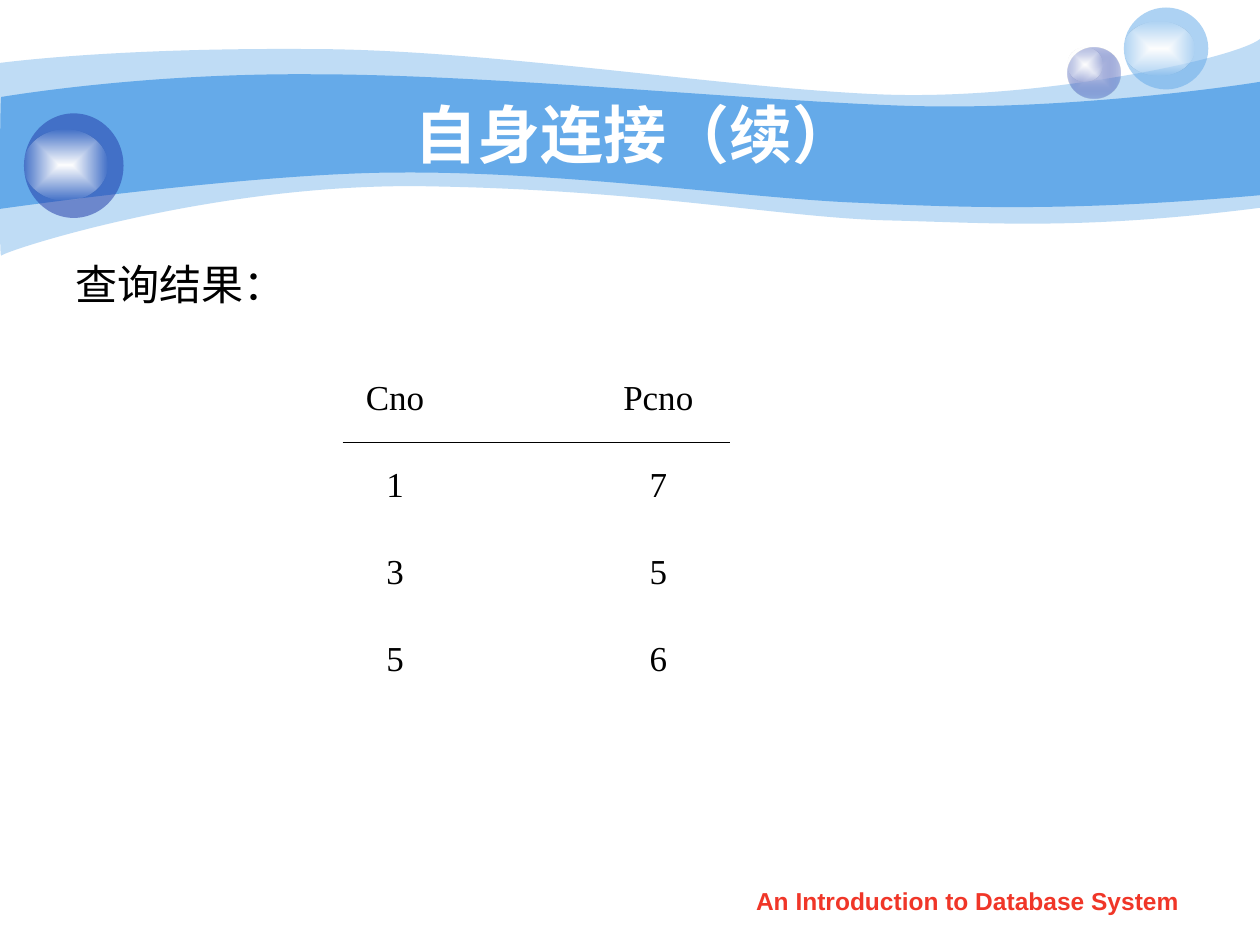
from lxml.etree import SubElement
from pptx import Presentation
from pptx.dml.color import RGBColor
from pptx.enum.shapes import MSO_CONNECTOR, MSO_SHAPE
from pptx.enum.text import MSO_ANCHOR, MSO_AUTO_SIZE, PP_ALIGN
from pptx.oxml import parse_xml
from pptx.oxml.ns import nsdecls, qn
from pptx.util import Pt

PX = 9144  # 100 px to the inch
SKY = RGBColor(0x65, 0xAA, 0xE9)
NAVY = RGBColor(0x23, 0x3D, 0xA9)
PALE = RGBColor(0xC7, 0xCE, 0xE9)
RED = RGBColor(0xF0, 0x36, 0x28)
WHITE = RGBColor(0xFF, 0xFF, 0xFF)
BLACK = RGBColor(0, 0, 0)

# Each wave is a start point, then cubic curves; a lone point is a straight line.
OUTER = (0, 50), [
    (24, 47, 108, 38, 247, 39), (386, 39, 575, 70, 699, 75),
    (822, 80, 980, 47, 1000, 31), (1000, 165),
    (858, 183, 788, 177, 705, 175), (622, 173, 515, 151, 343, 148),
    (172, 144, 4, 199, 1, 203), (-1, 208, 0, 75, 0, 50)]
INNER = (1, 77), [
    (2, 77, 110, 58, 248, 59), (387, 59, 596, 80, 718, 84),
    (841, 88, 976, 69, 1000, 65), (1000, 155),
    (853, 168, 765, 165, 682, 161), (599, 158, 447, 136, 317, 137),
    (203, 137, -2, 166, -1, 166), (0, 166, 0, 77, 1, 77)]

ROWS = [("Cno", "Pcno"), ("1", "7"), ("3", "5"), ("5", "6")]


def emu(*box):
    return [n * PX for n in box]


def style(para, size, color, font="Arial", bold=False, align=PP_ALIGN.CENTER):
    para.alignment = align
    para.font.name = font
    para.font.size = Pt(size)
    para.font.bold = bold
    para.font.color.rgb = color


def paint(shape, color, alpha=100):
    shape.shadow.inherit = False
    shape.line.fill.background()
    shape.fill.solid()
    shape.fill.fore_color.rgb = color
    if alpha < 100:
        tone = shape.fill._xPr.find(".//" + qn("a:srgbClr"))
        SubElement(tone, qn("a:alpha"), val=str(alpha * 1000))


def glow(shape, inner, outer, alpha):
    """Fill from a solid centre to a see-through edge."""
    paint(shape, inner)
    old = shape._element.spPr.find(qn("a:solidFill"))
    new = parse_xml(
        f'<a:gradFill {nsdecls("a")} rotWithShape="1"><a:gsLst>'
        f'<a:gs pos="0"><a:srgbClr val="{inner}"/></a:gs>'
        f'<a:gs pos="100000"><a:srgbClr val="{outer}">'
        f'<a:alpha val="{alpha * 1000}"/></a:srgbClr></a:gs></a:gsLst>'
        '<a:path path="rect"><a:fillToRect l="50000" t="50000" r="50000" b="50000"/>'
        '</a:path></a:gradFill>')
    old.getparent().replace(old, new)


def wave(slide, start, curves, alpha=100):
    """Outline the wave by its control points, then bend each three into a curve."""
    pen = slide.shapes.build_freeform(*emu(*start))
    for curve in curves:
        dots = [emu(*curve[i:i + 2]) for i in range(0, len(curve), 2)]
        pen.add_line_segments(dots, close=False)
    pen.add_line_segments([], close=True)
    shape = pen.convert_to_shape()
    paint(shape, SKY, alpha)
    lines = iter(shape._element.findall(".//" + qn("a:lnTo")))
    for curve in curves:
        first = next(lines)
        if len(curve) == 6:
            first.tag = qn("a:cubicBezTo")
            for line in (next(lines), next(lines)):
                first.append(line[0])
                line.getparent().remove(line)


def orb(slide, box, shine, color, alpha, core=None):
    """Draw a ball in box; shine is the highlight's drop, width and height."""
    left, top = box[:2]
    drop, wide, high = shine
    group = slide.shapes.add_group_shape()
    ball = group.shapes.add_shape(MSO_SHAPE.OVAL, *emu(*box))
    if core is None:
        paint(ball, color, alpha)
    else:
        glow(ball, core, color, alpha)
    spot = group.shapes.add_shape(MSO_SHAPE.OVAL, *emu(left, top + drop, wide, high))
    glow(spot, WHITE, WHITE, 0)


def banner(slide):
    wave(slide, *OUTER, alpha=41)
    wave(slide, *INNER)
    orb(slide, (847, 38, 42, 40), (0, 28, 27), NAVY, 31, PALE)
    orb(slide, (892, 6, 67, 65), (11, 56, 43), SKY, 53)
    orb(slide, (19, 90, 79, 83), (13, 66, 56), NAVY, 53)


def holder(slide, shape, box, text):
    """Fill a placeholder, set it in box and lift it above the banner."""
    shape.left, shape.top, shape.width, shape.height = emu(*box)
    slide.shapes._spTree.append(shape._element)
    frame = shape.text_frame
    frame.text = text
    frame.auto_size = MSO_AUTO_SIZE.NONE
    return frame


def title(slide, box):
    frame = holder(slide, slide.shapes.title, box, "自身连接（续）")
    frame.vertical_anchor = MSO_ANCHOR.MIDDLE
    style(frame.paragraphs[0], 36, WHITE, bold=True)


def body(slide, box):
    frame = holder(slide, slide.placeholders[1], box, "查询结果：")
    frame.vertical_anchor = MSO_ANCHOR.TOP
    para = frame.paragraphs[0]
    para.space_before = Pt(0)
    props = para._p.get_or_add_pPr()
    props.set("marL", str(38 * PX))
    props.set("indent", str(-38 * PX))
    SubElement(props, qn("a:buNone"))
    style(para, 24, BLACK, align=PP_ALIGN.LEFT)


def footer(slide, box):
    frame = slide.shapes.add_textbox(*emu(*box)).text_frame
    frame.word_wrap = True
    frame.text = "An Introduction to Database System"
    style(frame.paragraphs[0], 14, RED, bold=True)


def result(slide, box):
    left, top = box[:2]
    table = slide.shapes.add_table(len(ROWS), len(ROWS[0]), *emu(*box)).table
    table.first_row = table.horz_banding = False
    for r, row in enumerate(ROWS):
        for c, text in enumerate(row):
            cell = table.cell(r, c)
            cell.fill.background()
            cell.text = text
            style(cell.text_frame.paragraphs[0], 20, BLACK, "Times New Roman")
    ends = emu(left + 63, top + 55, left + 370, top + 55)
    rule = slide.shapes.add_connector(MSO_CONNECTOR.STRAIGHT, *ends)
    rule.line.color.rgb = BLACK
    rule.line.width = Pt(0.75)
    SubElement(rule._element.spPr, qn("a:effectLst"))


def main():
    deck = Presentation()
    deck.slide_width, deck.slide_height = emu(1000, 750)
    slide = deck.slides.add_slide(deck.slide_layouts[1])
    banner(slide)
    footer(slide, (571, 698, 394, 35))
    title(slide, (100, 75, 808, 62))
    body(slide, (50, 200, 442, 65))
    result(slide, (209, 296, 418, 276))
    deck.save("out.pptx")


if __name__ == "__main__":
    main()
